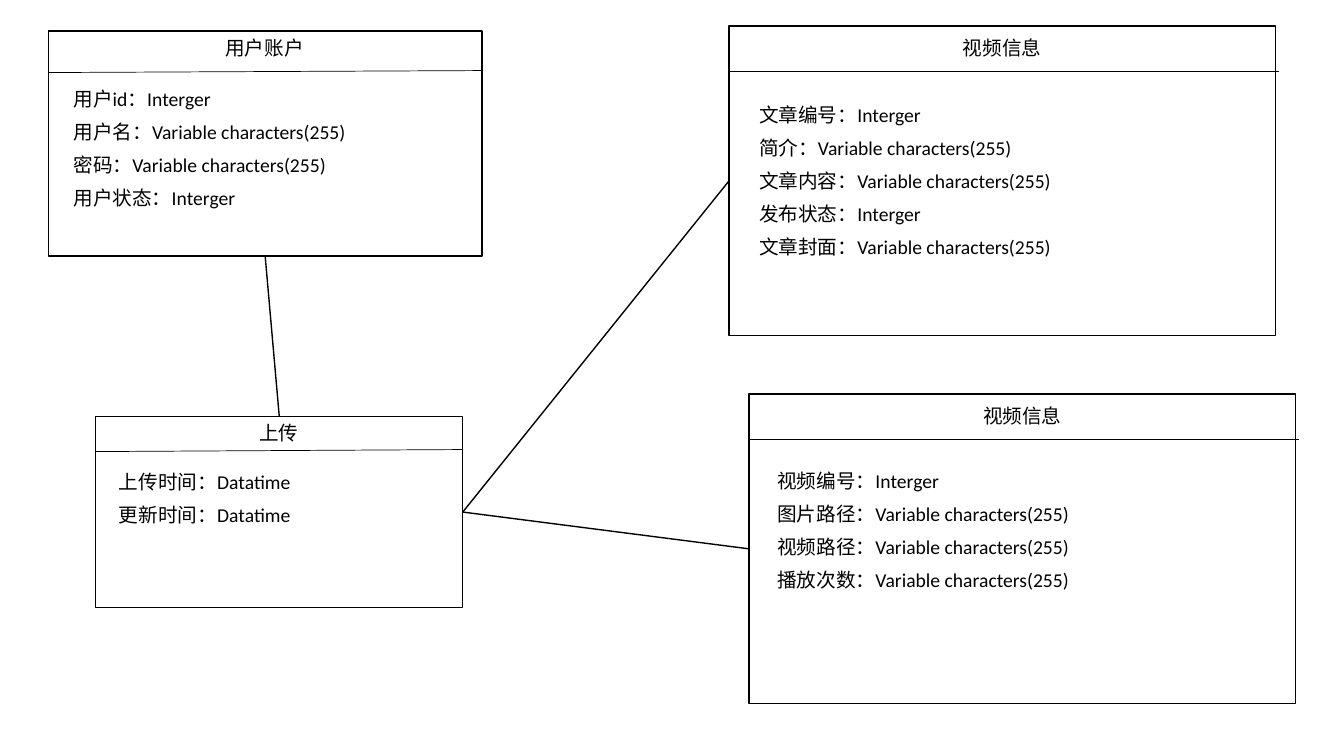
from lxml import etree
from pptx import Presentation, util as u
from pptx.dml.color import RGBColor
from pptx.enum import shapes, text
from pptx.oxml import ns

COLORS = {"ink": "000000", "paper": "FFFFFF"}
TOP, LEFT, BOTTOM, RIGHT = range(4)


class Diagram:
    """Draws entity boxes and relations on one page in a shared style."""

    def __init__(self, page, font="Calibri", size=14):
        self.page, self.font, self.size = page, font, size

    def color(self, name):
        return RGBColor.from_string(COLORS[name])

    def box(self, left, top, width, height):
        box = self.page.shapes.add_shape(
            shapes.MSO_SHAPE.RECTANGLE, *map(u.Inches, (left, top, width, height)))
        box.shadow.inherit = False
        box.fill.solid()
        box.fill.fore_color.rgb = self.color("paper")
        box.line.color.rgb = self.color("ink")
        box.line.width = u.Pt(1)
        return box

    def line(self, start=(0, 0), end=(0, 0), weight=1):
        line = self.page.shapes.add_connector(
            shapes.MSO_CONNECTOR.STRAIGHT, *map(u.Inches, (*start, *end)))
        line.line.color.rgb = self.color("ink")
        line.line.width = u.Pt(weight)
        etree.SubElement(line._element.spPr, ns.qn("a:effectLst"))
        return line

    def relation(self, source, source_side, target, target_side):
        line = self.line()
        line.begin_connect(source, source_side)
        line.end_connect(target, target_side)

    def label(self, place, lines, align=text.PP_ALIGN.LEFT, spacing=1.0):
        frame = self.page.shapes.add_textbox(*map(u.Inches, place)).text_frame
        frame.word_wrap = True
        frame.auto_size = text.MSO_AUTO_SIZE.SHAPE_TO_FIT_TEXT
        for index, words in enumerate(lines):
            para = frame.add_paragraph() if index else frame.paragraphs[0]
            para.alignment, para.line_spacing = align, spacing
            span = para.add_run()
            span.text = words
            span.font.name, span.font.size = self.font, u.Pt(self.size)
            span.font.color.rgb = self.color("ink")

    def entity(self, bounds, divider, title, title_place, fields, fields_place):
        box = self.box(*bounds)
        self.line(*divider, weight=0.5)
        self.label((*title_place, 0.34), [title], text.PP_ALIGN.CENTER)
        self.label(fields_place, [f"{name}：{kind}" for name, kind in fields], spacing=1.4)
        return box


INTEGER, STRING, DATE = "Interger", "Variable characters(255)", "Datatime"

deck = Presentation()
deck.slide_width, deck.slide_height = u.Inches(13.33), u.Inches(7.5)
diagram = Diagram(deck.slides.add_slide(deck.slide_layouts[6]))

account = diagram.entity(
    (0.48, 0.31, 4.3, 2.23), ((0.48, 0.72), (4.79, 0.7)),
    "用户账户", (1.96, 0.31, 1.33),
    [("用户id", INTEGER), ("用户名", STRING), ("密码", STRING), ("用户状态", INTEGER)],
    (0.63, 0.72, 3.9, 1.75))
video = diagram.entity(
    (7.43, 3.91, 5.42, 3.07), ((7.43, 4.36), (12.88, 4.36)),
    "视频信息", (9.44, 3.96, 1.4),
    [("视频编号", INTEGER), ("图片路径", STRING), ("视频路径", STRING), ("播放次数", STRING)],
    (7.61, 4.51, 3.9, 1.42))
upload = diagram.entity(
    (0.95, 4.13, 3.64, 1.9), ((0.95, 4.48), (4.58, 4.46)),
    "上传", (2.2, 4.13, 1.13),
    [("上传时间", DATE), ("更新时间", DATE)],
    (1.08, 4.52, 3.22, 0.76))
article = diagram.entity(
    (7.23, 0.26, 5.42, 3.07), ((7.23, 0.71), (12.69, 0.71)),
    "视频信息", (9.24, 0.31, 1.4),
    [("文章编号", INTEGER), ("简介", STRING), ("文章内容", STRING),
     ("发布状态", INTEGER), ("文章封面", STRING)],
    (7.43, 0.88, 3.9, 1.75))

diagram.relation(account, BOTTOM, upload, TOP)
for content in (article, video):
    diagram.relation(content, LEFT, upload, RIGHT)

deck.save("out.pptx")
